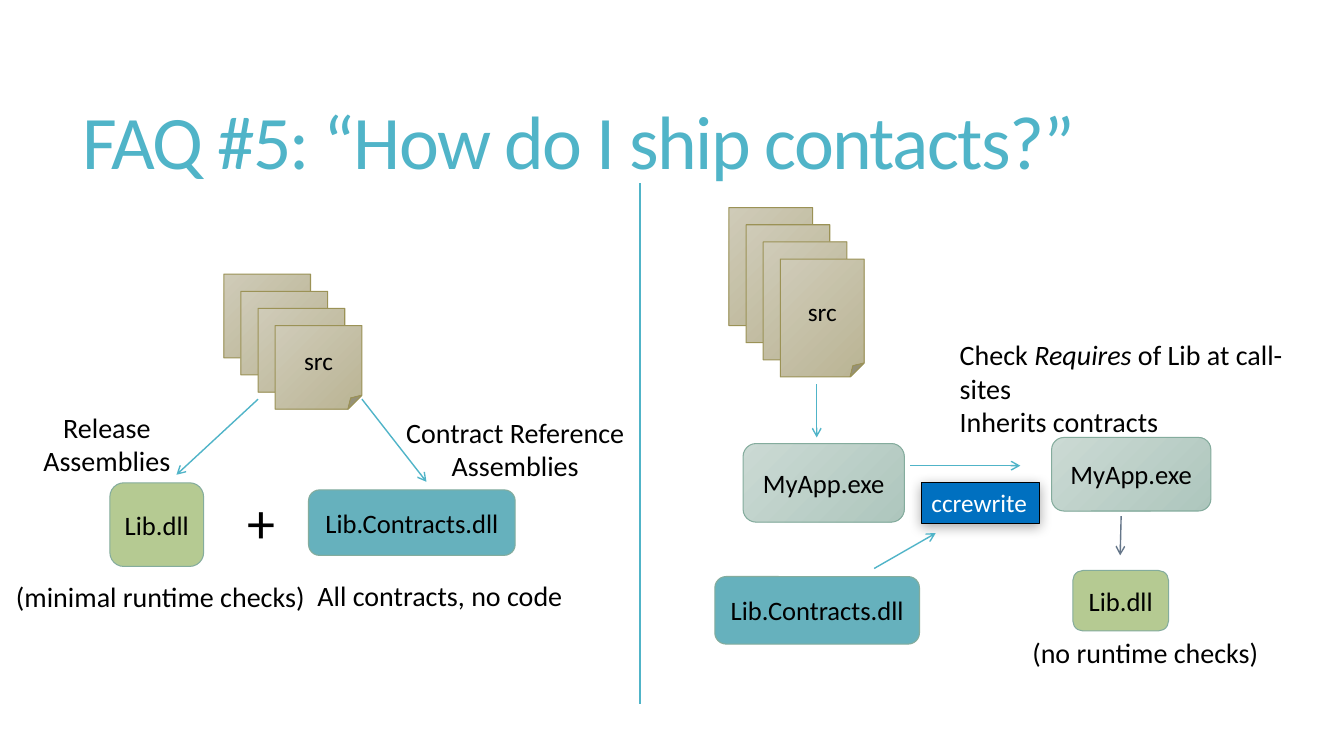
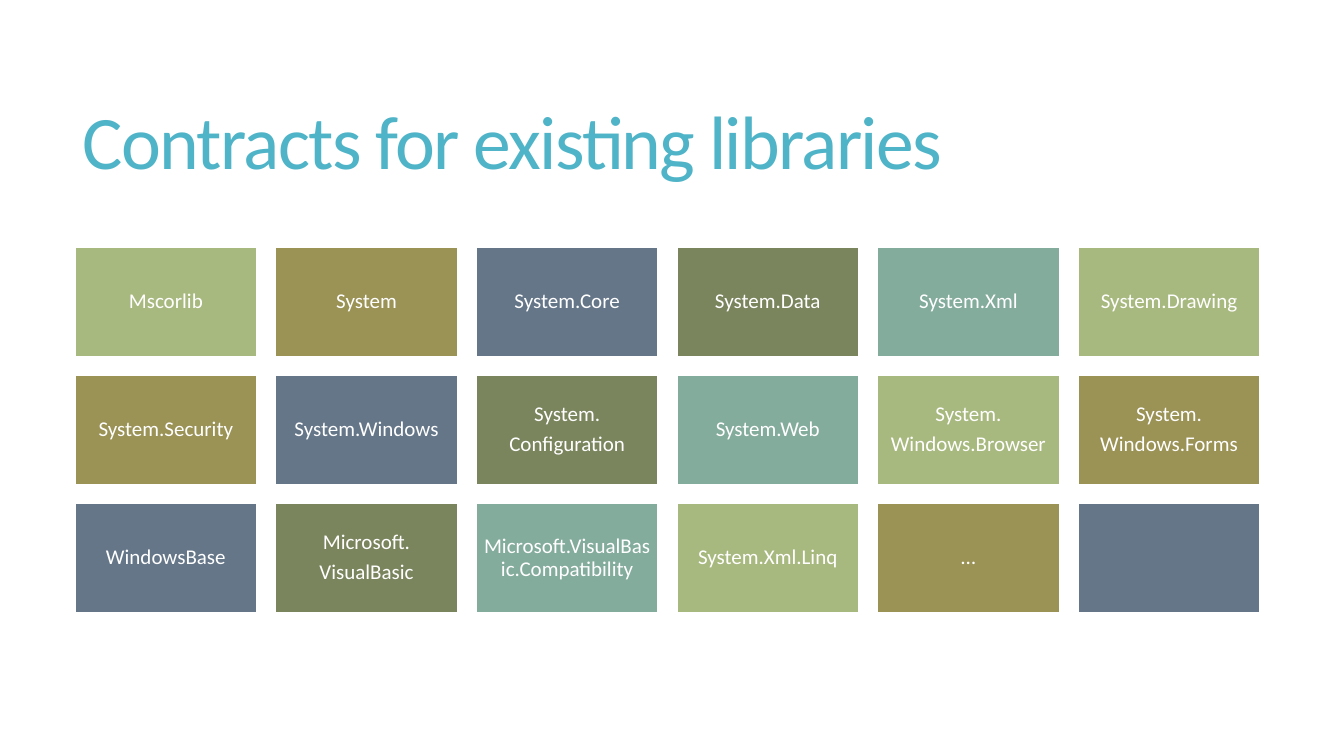
from dataclasses import dataclass
from typing import NamedTuple

from lxml import etree
from pptx import Presentation
from pptx.dml.color import RGBColor
from pptx.enum.shapes import MSO_CONNECTOR as Connector, MSO_SHAPE as Shape
from pptx.enum.text import MSO_ANCHOR as Anchor, PP_ALIGN as Align
from pptx.oxml.ns import qn
from pptx.util import Inches, Pt


@dataclass(frozen=True)
class Theme:
    font: str = "Calibri"
    accent: str = "50B4C8"
    ink: str = "000000"
    paper: str = "FFFFFF"
    slate: str = "657689"
    sage: str = "84AC9D"
    olive: str = "9B9256"
    library: str = "B5CA92"
    contracts: str = "66B1BD"
    tool: str = "0070C0"
    sheet: tuple = ("CFCBB8", "BAB494")
    app: tuple = ("CBDAD4", "AEC6BD")
    tiles: tuple = ("A8B97F", "9B9256", "657689", "7A855D", "84AC9D")
    title_size: int = 54
    plus_size: int = 40
    label_size: int = 20
    node_size: int = 19
    small_size: int = 18
    tile_size: int = 15


THEME = Theme()


class Box(NamedTuple):
    left: float
    top: float
    width: float
    height: float

    def inner(self, left, top, width, height):
        """Turn a box measured from this box's corner into a slide box."""
        return Box(self.left + left, self.top + top, width, height)

    def inches(self):
        return [Inches(length) for length in self]


TITLE_BOX = Box(0.72, 0.55, 11.78, 1.81)
BUILD_BOX = Box(0, 2.7, 6.35, 3.5)
CLIENT_BOX = Box(7, 2, 6.33, 4.8)
TILES_BOX = Box(0.74, 2.45, 11.76, 3.63)

LIBRARIES = [
    ["Mscorlib", "System", "System.Core", "System.Data", "System.Xml", "System.Drawing"],
    ["System.Security", "System.Windows", "System.\nConfiguration", "System.Web",
     "System.\nWindows.Browser", "System.\nWindows.Forms"],
    ["WindowsBase", "Microsoft.\nVisualBasic", "Microsoft.VisualBasic.Compatibility",
     "System.Xml.Linq", "…", ""],
]


def rgb(color):
    return RGBColor.from_string(color)


def write(frame, text, size, color=THEME.ink, align=Align.LEFT, anchor=Anchor.TOP):
    """Fill a text frame with one paragraph for each line of text."""
    frame.word_wrap = True
    frame.vertical_anchor = anchor
    frame.text = text
    for para in frame.paragraphs:
        para.alignment = align
        para.font.name = THEME.font
        para.font.size = Pt(size)
        para.font.color.rgb = rgb(color)


def add_label(page, box, text, size=THEME.label_size, **style):
    frame = page.shapes.add_textbox(*box.inches()).text_frame
    write(frame, text, size, **style)
    return frame


def add_block(page, box, fill, line, kind=Shape.RECTANGLE, line_width=0.75):
    """Draw a preset shape; a pair of colours as fill makes a diagonal gradient."""
    shape = page.shapes.add_shape(kind, *box.inches())
    shape.shadow.inherit = False
    if isinstance(fill, tuple):
        shape.fill.gradient()
        shape.fill.gradient_angle = 315
        for stop, color in zip(shape.fill.gradient_stops, fill):
            stop.color.rgb = rgb(color)
    else:
        shape.fill.solid()
        shape.fill.fore_color.rgb = rgb(fill)
    shape.line.color.rgb = rgb(line)
    shape.line.width = Pt(line_width)
    return shape


def add_node(page, box, text, fill):
    node = add_block(page, box, fill, THEME.sage, Shape.ROUNDED_RECTANGLE)
    write(node.text_frame, text, THEME.node_size, align=Align.CENTER, anchor=Anchor.MIDDLE)


def add_sheets(page, front, count=4, step=0.17):
    """Stack folded sheets up and to the left behind the front one."""
    for depth in reversed(range(count)):
        box = front.inner(-depth * step, -depth * step, front.width, front.height)
        sheet = add_block(page, box, THEME.sheet, THEME.olive, Shape.FOLDED_CORNER)
    write(sheet.text_frame, "src", THEME.small_size, align=Align.CENTER, anchor=Anchor.MIDDLE)


def add_line(page, start, end, color=THEME.accent, width=1.0, arrow=True):
    points = [Inches(length) for length in (*start, *end)]
    line = page.shapes.add_connector(Connector.STRAIGHT, *points)
    line.line.color.rgb = rgb(color)
    line.line.width = Pt(width)
    properties = line._element.spPr
    if arrow:
        etree.SubElement(properties.find(qn("a:ln")), qn("a:tailEnd"), type="arrow")
    etree.SubElement(properties, qn("a:effectLst"))


def add_arrow(page, area, start, end, color=THEME.accent):
    """Draw an arrow between two points measured from the area's corner."""
    ends = [(area.left + x, area.top + y) for x, y in (start, end)]
    add_line(page, *ends, color=color)


def add_soft_shadow(shape):
    effects = shape._element.spPr.find(qn("a:effectLst"))
    shadow = etree.SubElement(effects, qn("a:outerShdw"), blurRad=str(Pt(9)),
                              dist=str(Pt(2)), dir="5400000", rotWithShape="0")
    color = etree.SubElement(shadow, qn("a:srgbClr"), val=THEME.ink)
    etree.SubElement(color, qn("a:alpha"), val="35000")


def add_title(page, text):
    frame = add_label(page, TITLE_BOX, text, THEME.title_size,
                      color=THEME.accent, anchor=Anchor.MIDDLE)
    para = frame.paragraphs[0]
    para.line_spacing = 0.85
    para.runs[0].font._element.set("spc", "-120")


def add_build_panel(page, area):
    """Sources compiled into a release and a contract assembly."""
    add_sheets(page, area.inner(2.73, 0.53, 0.86, 0.83))
    add_arrow(page, area, (2.56, 1.26), (1.75, 2.01))
    add_arrow(page, area, (3.59, 1.26), (4.23, 2.08))
    add_node(page, area.inner(1.09, 2.09, 0.93, 0.83), "Lib.dll", THEME.library)
    add_node(page, area.inner(3.06, 2.16, 2.05, 0.65), "Lib.Contracts.dll", THEME.contracts)
    add_label(page, area.inner(0.06, 3, 3.2, 0.44), "(minimal runtime checks)")
    add_label(page, area.inner(3.05, 2.99, 2.73, 0.44), "All contracts, no code")
    add_label(page, area.inner(2.36, 2.09, 0.49, 0.77), "+", THEME.plus_size)
    add_label(page, area.inner(0.3, 1.32, 1.52, 0.77), "Release\nAssemblies",
              align=Align.CENTER)
    add_label(page, area.inner(3.88, 1.37, 2.46, 0.77), "Contract Reference\nAssemblies",
              align=Align.CENTER)


def add_client_panel(page, area):
    """A client application rewritten against the contract assembly."""
    add_sheets(page, area.inner(0.74, 0.57, 0.83, 1.17))
    add_node(page, area.inner(3.64, 3.66, 0.95, 0.6), "Lib.dll", THEME.library)
    add_label(page, area.inner(3.14, 4.26, 2.53, 0.44), "(no runtime checks)")
    add_node(page, area.inner(0.09, 3.72, 2.03, 0.67), "Lib.Contracts.dll", THEME.contracts)
    add_node(page, area.inner(0.37, 2.4, 1.6, 0.78), "MyApp.exe", THEME.app)
    add_node(page, area.inner(3.43, 2.34, 1.58, 0.73), "MyApp.exe", THEME.app)
    add_arrow(page, area, (1.1, 1.81), (1.1, 2.34))
    add_arrow(page, area, (2.03, 2.62), (3.12, 2.62))

    tool = add_block(page, area.inner(2.14, 2.79, 1.17, 0.4), THEME.tool, THEME.ink)
    write(tool.text_frame, "ccrewrite", THEME.small_size, color=THEME.paper)
    add_soft_shadow(tool)
    add_arrow(page, area, (1.67, 3.64), (2.28, 3.29))
    add_arrow(page, area, (4.12, 3.12), (4.11, 3.51), color=THEME.slate)

    note = add_label(page, area.inner(2.42, 1.3, 3.86, 0.77), "Check \nInherits contracts")
    for text, italic in (("Requires", True), (" of Lib at call-sites", False)):
        span = note.paragraphs[0].add_run()
        span.text = text
        span.font.italic = italic


def add_tiles(page, area, rows, gap=0.18):
    columns = len(rows[0])
    width = (area.width - gap * (columns - 1)) / columns
    height = (area.height - gap * (len(rows) - 1)) / len(rows)
    names = [name for row in rows for name in row]
    for index, name in enumerate(names):
        row, column = divmod(index, columns)
        box = area.inner(column * (width + gap), row * (height + gap), width, height)
        fill = THEME.tiles[index % len(THEME.tiles)]
        tile = add_block(page, box, fill, THEME.paper, line_width=1.5)
        if not name:
            continue
        frame = tile.text_frame
        frame.margin_left = frame.margin_right = Inches(0.06)
        frame.margin_top = frame.margin_bottom = Inches(0.06)
        write(frame, name, THEME.tile_size, color=THEME.paper,
              align=Align.CENTER, anchor=Anchor.MIDDLE)
        for para in frame.paragraphs:
            para.line_spacing = 0.9
            para.space_after = Pt(5.25)


def add_page(deck, title):
    page = deck.slides.add_slide(deck.slide_layouts[6])
    add_title(page, title)
    return page


def add_shipping_page(deck):
    page = add_page(deck, "FAQ #5: “How do I ship contacts?”")
    add_build_panel(page, BUILD_BOX)
    add_client_panel(page, CLIENT_BOX)
    add_line(page, (6.35, 1.82), (6.35, 6.98), width=1.5, arrow=False)


def add_libraries_page(deck):
    page = add_page(deck, "Contracts for existing libraries")
    add_tiles(page, TILES_BOX, LIBRARIES)


def main():
    deck = Presentation()
    deck.slide_width = Inches(13.33)
    deck.slide_height = Inches(7.5)
    add_shipping_page(deck)
    add_libraries_page(deck)
    deck.save("out.pptx")


if __name__ == "__main__":
    main()
